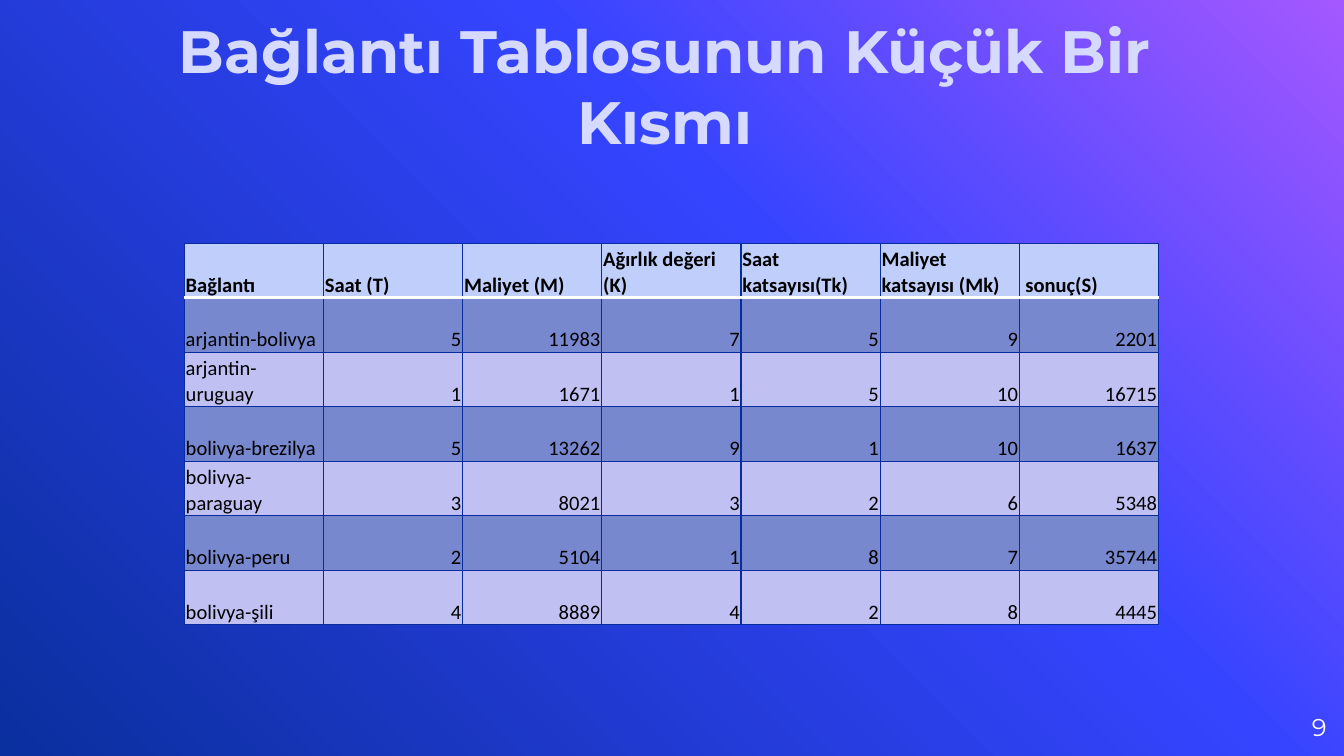
from copy import deepcopy
from lxml.etree import SubElement
from pptx import Presentation
from pptx.dml.color import RGBColor
from pptx.enum.text import MSO_ANCHOR, MSO_AUTO_SIZE, PP_ALIGN
from pptx.oxml.ns import qn
from pptx.util import Pt

TITLE = "Bağlantı Tablosunun Küçük Bir Kısmı"
NUMBER = "9"
HEAD = ["Bağlantı", "Saat (T)", "Maliyet (M)", "Ağırlık değeri (K)",
        "Saat katsayısı(Tk)", "Maliyet katsayısı (Mk)", " sonuç(S)"]
ROWS = [
    ("arjantin-bolivya", 5, 11983, 7, 5, 9, 2201),
    ("arjantin-uruguay", 1, 1671, 1, 5, 10, 16715),
    ("bolivya-brezilya", 5, 13262, 9, 1, 10, 1637),
    ("bolivya-paraguay", 3, 8021, 3, 2, 6, 5348),
    ("bolivya-peru", 2, 5104, 1, 8, 7, 35744),
    ("bolivya-şili", 4, 8889, 4, 2, 8, 4445),
]
STOPS = [(0, "A458FF"), (0.39, "3544FF"), (1, "0A2F9E")]
HEAD_FILL, BANDS = "BFCEFB", ("7888CF", "C0C0F3")
GRID, RULE = ("062C9E", 0.75), ("FFFFFF", 2)
LEFT, TOP, WIDTH, ROW_H = 98.75, 130.25, 522, 29.2


def color(code):
    return RGBColor.from_string(code)


def write(frame, text, align, anchor, font, size, code, bold=False):
    frame.text = text
    frame.word_wrap = True
    frame.vertical_anchor = anchor
    para = frame.paragraphs[0]
    para.alignment = align
    style = para.runs[0].font
    style.name, style.size, style.bold = font, Pt(size), bold
    style.color.rgb = color(code)


def clear(frame):
    """Take away the insets and the automatic fitting."""
    frame.margin_left = frame.margin_right = 0
    frame.margin_top = frame.margin_bottom = 0
    frame.auto_size = MSO_AUTO_SIZE.NONE


def border(cell, sides):
    """Draw the cell's edges; lines must come before the fill."""
    props = cell._tc.get_or_add_tcPr()
    for spot, (side, (code, width)) in enumerate(sides.items()):
        line = SubElement(props, qn("a:ln" + side), w=str(Pt(width)))
        fill = SubElement(line, qn("a:solidFill"))
        SubElement(fill, qn("a:srgbClr"), val=code)
        props.insert(spot, line)


def paint(slide):
    """Fill the background with the three-stop gradient."""
    fill = slide.background.fill
    fill.gradient()
    fill.gradient_angle = 225
    stops = slide.element.find(".//" + qn("a:gsLst"))
    stops.append(deepcopy(stops[-1]))
    for stop, (place, code) in zip(fill.gradient_stops, STOPS):
        stop.position = place
        stop.color.rgb = color(code)


def add_grid(slide):
    data = [HEAD, *ROWS]
    table = slide.shapes.add_table(len(data), len(HEAD), Pt(LEFT), Pt(TOP),
                                   Pt(WIDTH), Pt(ROW_H * len(data))).table
    for col in table.columns:
        col.width = Pt(WIDTH / len(HEAD))
    for r, items in enumerate(data):
        table.rows[r].height = Pt(ROW_H)
        for c, item in enumerate(items):
            cell = table.cell(r, c)
            align = PP_ALIGN.RIGHT if r and c else PP_ALIGN.LEFT
            write(cell.text_frame, str(item), align, None,
                  "Calibri", 11, "000000", r == 0)
            cell.vertical_anchor = MSO_ANCHOR.BOTTOM
            cell.margin_left = cell.margin_right = cell.margin_top = Pt(0.75)
            cell.margin_bottom = 0
            cell.fill.solid()
            cell.fill.fore_color.rgb = color(
                BANDS[(r - 1) % 2] if r else HEAD_FILL)
            border(cell, {"L": GRID, "R": GRID,
                          "T": RULE if r == 1 else GRID,
                          "B": RULE if r == 0 else GRID})


deck = Presentation()
deck.slide_width, deck.slide_height = Pt(720), Pt(405)
slide = deck.slides.add_slide(deck.slide_layouts[5])
paint(slide)

title = slide.shapes.title
title.left, title.top, title.width, title.height = map(
    Pt, (45.25, 16.5, 622, 67.5))
clear(title.text_frame)
write(title.text_frame, TITLE, PP_ALIGN.CENTER, MSO_ANCHOR.BOTTOM,
      "Montserrat", 32, "D7DAFF", True)

page = slide.shapes.add_textbox(*map(Pt, (667.5, 374, 43.2, 31)))
clear(page.text_frame)
write(page.text_frame, NUMBER, PP_ALIGN.RIGHT, MSO_ANCHOR.MIDDLE,
      "Montserrat", 13, "FFFFFF")

add_grid(slide)
deck.save("out.pptx")
